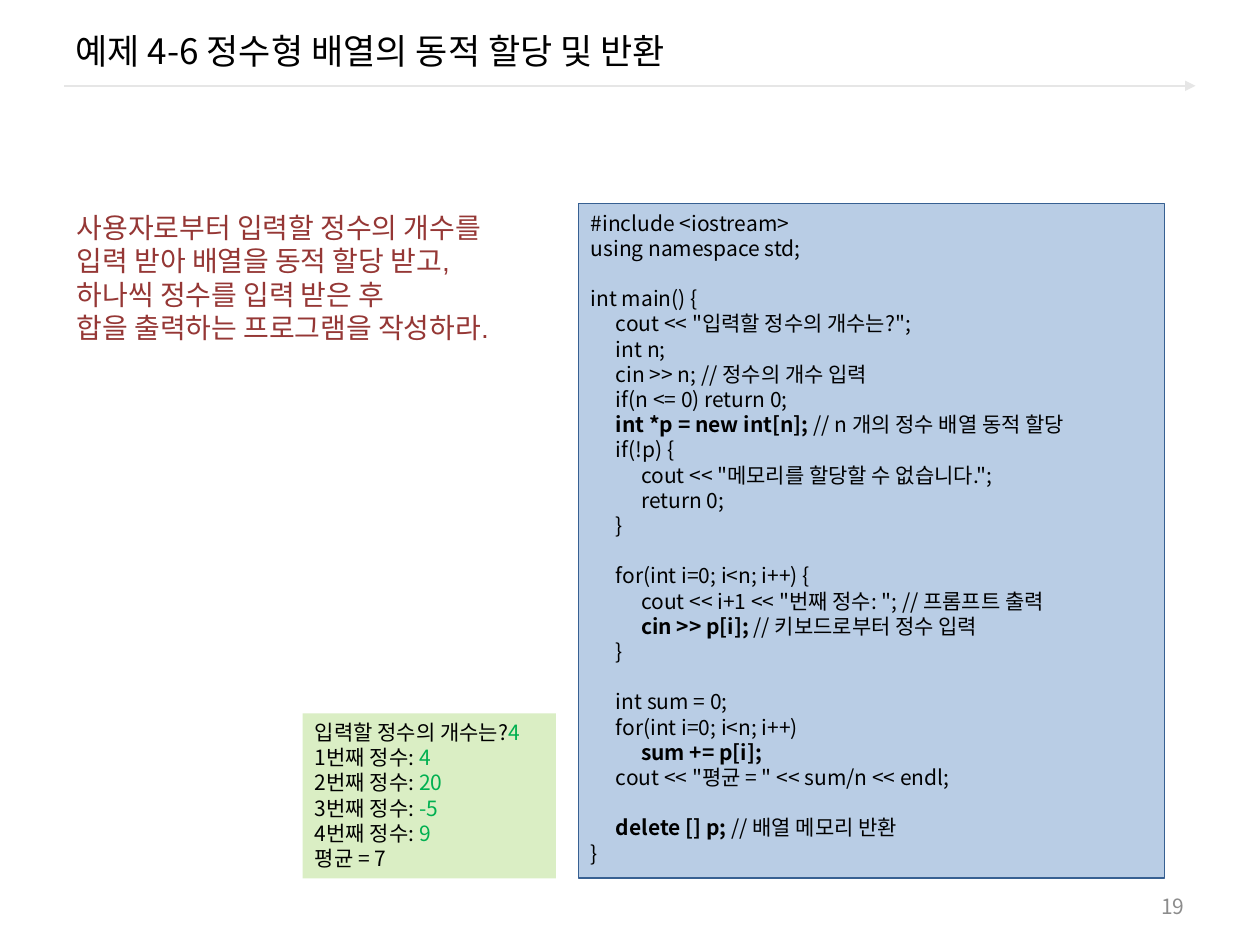
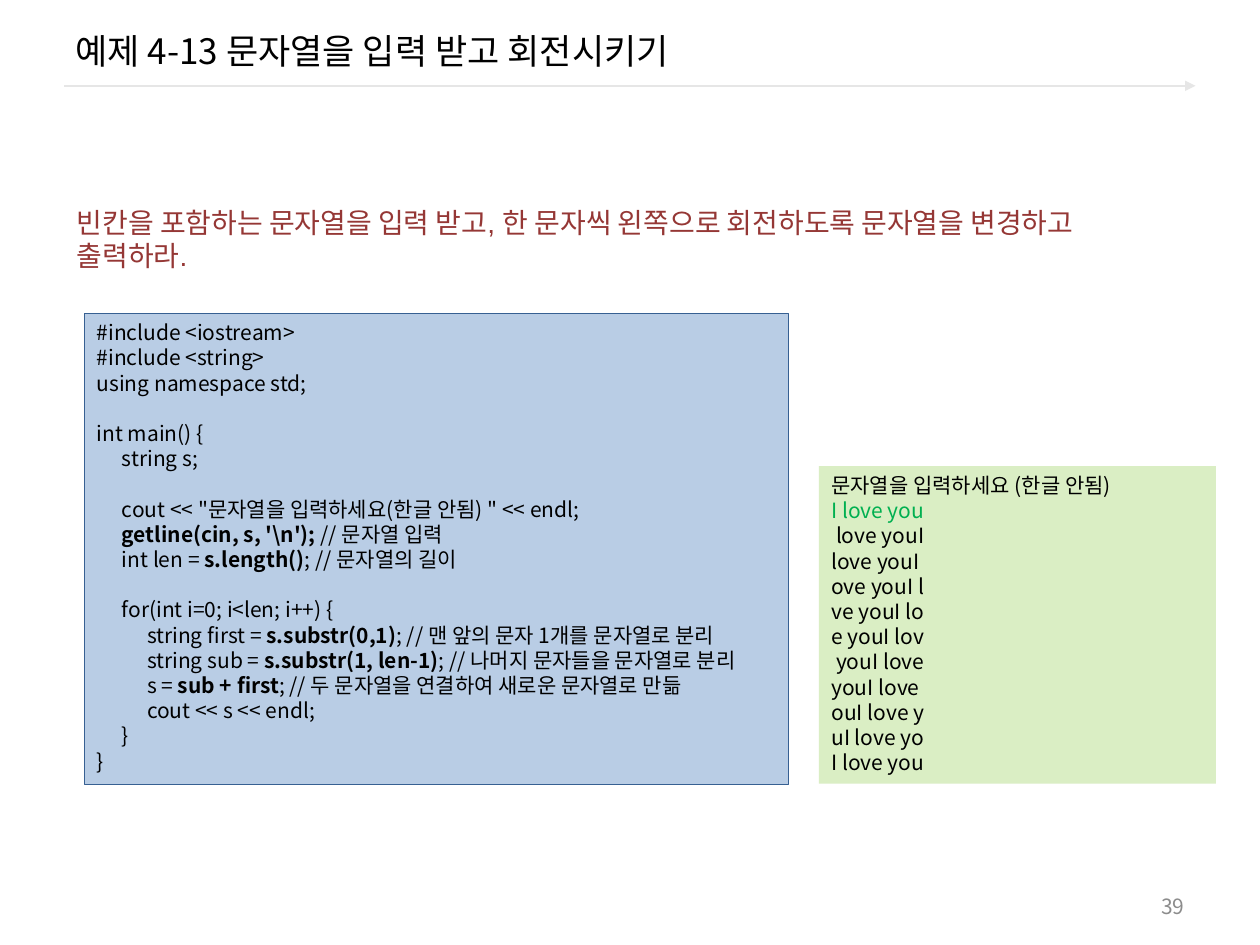
"""Build two C++ example slides with a task, a listing and its output."""
from lxml.etree import SubElement
from pptx import Presentation
from pptx.dml.color import RGBColor
from pptx.enum.shapes import MSO_CONNECTOR, MSO_SHAPE
from pptx.enum.text import MSO_ANCHOR, PP_ALIGN
from pptx.oxml.ns import qn
from pptx.util import Cm, Pt

COLORS = {
    "text": "000000", "task": "953735", "input": "00B050", "number": "8C8C8C",
    "rule": "E6E6E6", "code": "B9CDE5", "code_line": "376092", "output": "DAEEC4",
}
FONT = "Noto Sans CJK KR"
LINE_FACTOR = 1.2
TAB = Cm(0.508)

SUM_TASK = """사용자로부터 입력할 정수의 개수를
입력 받아 배열을 동적 할당 받고,
하나씩 정수를 입력 받은 후
합을 출력하는 프로그램을 작성하라."""

SUM_CODE = """#include <iostream>
using namespace std;

int main() {
    cout << "입력할 정수의 개수는?";
    int n;
    cin >> n; // 정수의 개수 입력
    if(n <= 0) return 0;
    **int *p = new int[n]; **// n 개의 정수 배열 동적 할당
    if(!p) {
        cout << "메모리를 할당할 수 없습니다.";
        return 0;
    }

    for(int i=0; i<n; i++) {
        cout << i+1 << "번째 정수: "; // 프롬프트 출력
        **cin >> p[i]; **// 키보드로부터 정수 입력
    }

    int sum = 0;
    for(int i=0; i<n; i++)
        **sum += p[i];**
    cout << "평균 = " << sum/n << endl;

    **delete [] p; **// 배열 메모리 반환
}"""

SUM_OUTPUT = """입력할 정수의 개수는?**4**
1번째 정수: **4**
2번째 정수: **20**
3번째 정수: **-5**
4번째 정수: **9**
평균 = 7"""

ROTATE_TASK = "빈칸을 포함하는 문자열을 입력 받고, 한 문자씩 왼쪽으로 회전하도록 문자열을 변경하고 출력하라."

ROTATE_CODE = r"""#include <iostream>
#include <string>
using namespace std;

int main() {
    string s;

    cout << "문자열을 입력하세요(한글 안됨) " << endl;
    **getline(cin, s, '\n'); **// 문자열 입력
    int len = **s.length()**; // 문자열의 길이

    for(int i=0; i<len; i++) {
        string first = **s.substr(0,1)**; // 맨 앞의 문자 1개를 문자열로 분리
        string sub = **s.substr(1, len-1)**; // 나머지 문자들을 문자열로 분리
        s = **sub + first**; // 두 문자열을 연결하여 새로운 문자열로 만듦
        cout << s << endl;
    }
}"""

ROTATE_OUTPUT = """문자열을 입력하세요 (한글 안됨)
**I love you**
 love youI
love youI
ove youI l
ve youI lo
e youI lov
 youI love
youI love
ouI love y
uI love yo
I love you"""


def rgb(name):
    return RGBColor.from_string(COLORS[name])


def write(tf, text, size=12, color="text", accent=None, bold_accent=False,
          font=FONT, align=PP_ALIGN.LEFT, anchor=MSO_ANCHOR.TOP):
    """Fill a frame line by line; **marked** parts take the accent format."""
    tf.word_wrap = True
    tf.vertical_anchor = anchor
    pitch = Pt(size * LINE_FACTOR)
    p, gap = None, 0
    for line in text.split("\n"):
        if not line:
            gap += pitch
            continue
        p = tf.add_paragraph() if p is not None else tf.paragraphs[0]
        p.alignment = align
        p.line_spacing = pitch
        p.space_before = gap
        gap = 0
        if line.startswith("    "):
            tabs = SubElement(p._p.get_or_add_pPr(), qn("a:tabLst"))
            for level in (1, 2):
                SubElement(tabs, qn("a:tab"), pos=str(level * TAB), algn="l")
        for i, part in enumerate(line.replace("    ", "\t").split("**")):
            if not part:
                continue
            marked = i % 2 == 1
            r = p.add_run()
            r.text = part
            r.font.size = Pt(size)
            r.font.bold = marked and bold_accent
            r.font.color.rgb = rgb(accent if marked and accent else color)
            r.font.name = font
            SubElement(r._r.get_or_add_rPr(), qn("a:ea"), typeface=FONT)


class Deck:
    """Hold the shared style and the current slide."""

    def __init__(self):
        self.prs = Presentation()
        self.prs.slide_width, self.prs.slide_height = Cm(25.4), Cm(19.05)
        self.s = None

    def slide(self, title, number):
        self.s = self.prs.slides.add_slide(self.prs.slide_layouts[6])
        self.arrow(1.3, 24.1, 1.73)
        self.text((1.27, 0.2, 22.86, 1.63), title, size=20, anchor=MSO_ANCHOR.MIDDLE)
        self.text((18.21, 17.86, 5.92, 0.81), str(number), color="number",
                  align=PP_ALIGN.RIGHT, anchor=MSO_ANCHOR.MIDDLE)

    def arrow(self, left, right, y):
        sp = self.s.shapes.add_connector(
            MSO_CONNECTOR.STRAIGHT, Cm(left), Cm(y), Cm(right), Cm(y))
        sp.line.color.rgb = rgb("rule")
        sp.line.width = Pt(1.5)
        SubElement(sp.line._get_or_add_ln(), qn("a:tailEnd"), type="triangle")
        SubElement(sp._element.spPr, qn("a:effectLst"))

    def text(self, at, text, **fmt):
        sp = self.s.shapes.add_textbox(*map(Cm, at))
        write(sp.text_frame, text, **fmt)

    def panel(self, at, text, fill, line=None, **fmt):
        sp = self.s.shapes.add_shape(MSO_SHAPE.RECTANGLE, *map(Cm, at))
        sp.shadow.inherit = False
        sp.fill.solid()
        sp.fill.fore_color.rgb = rgb(fill)
        if line:
            sp.line.color.rgb = rgb(line)
            sp.line.width = Pt(0.75)
        else:
            sp.line.fill.background()
        write(sp.text_frame, text, **fmt)

    def task(self, at, text):
        self.text(at, text, size=16, color="task", font="Arial")

    def code(self, at, text):
        self.panel(at, text, "code", "code_line", bold_accent=True)

    def output(self, at, text):
        self.panel(at, text, "output", accent="input")


def main():
    deck = Deck()

    deck.slide("예제 4-6 정수형 배열의 동적 할당 및 반환", 19)
    deck.code((11.66, 4.11, 11.81, 13.59), SUM_CODE)
    deck.output((6.1, 14.38, 5.11, 3.33), SUM_OUTPUT)
    deck.task((1.3, 4.11, 10.39, 3), SUM_TASK)

    deck.slide("예제 4-13 문자열을 입력 받고 회전시키기", 39)
    deck.output((16.51, 9.4, 8, 6.4), ROTATE_OUTPUT)
    deck.code((1.7, 6.32, 14.2, 9.5), ROTATE_CODE)
    deck.task((1.3, 4.01, 21.97, 1.63), ROTATE_TASK)

    deck.prs.save("out.pptx")


if __name__ == "__main__":
    main()
